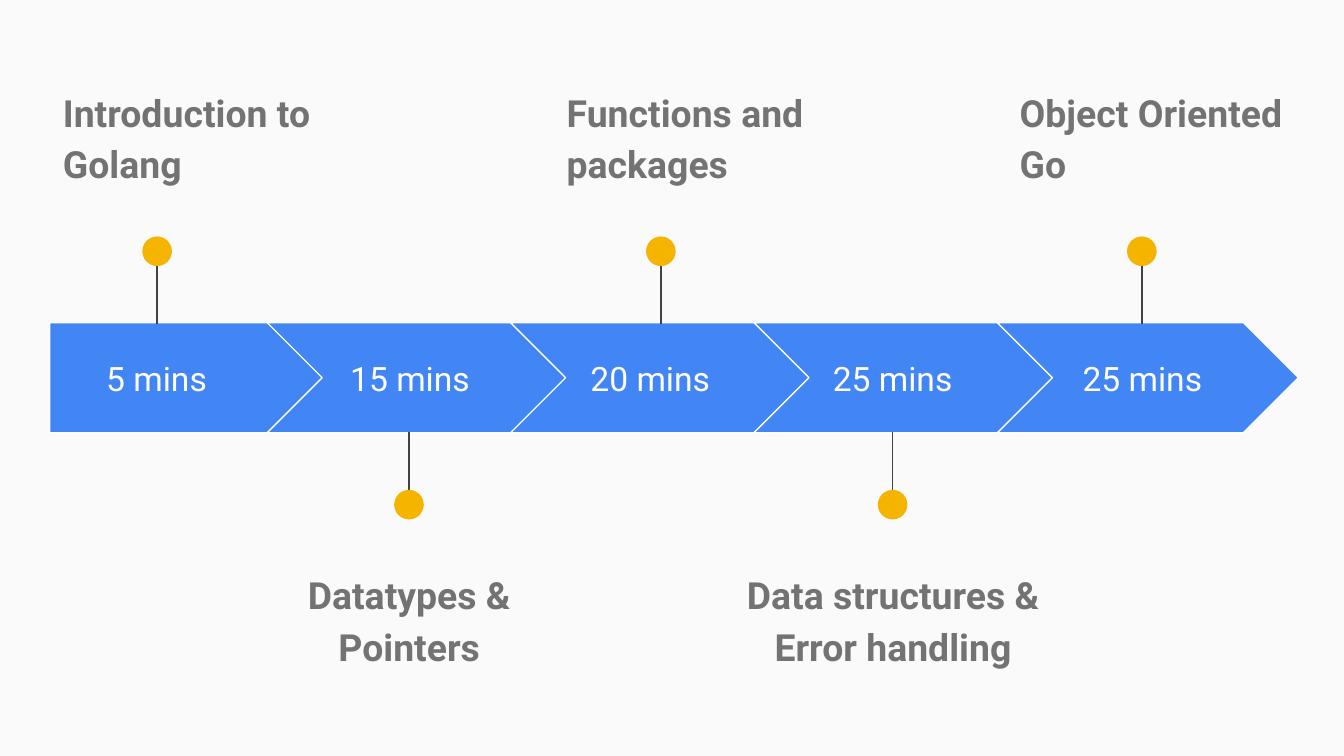
from pptx import Presentation
from pptx import util as u
from pptx.dml import color
from pptx.enum import shapes, text
from pptx.oxml import ns
from lxml import etree

FONT = "Roboto"
BACKGROUND, BLUE, YELLOW = "FAFAFA", "4285F4", "F4B400"
WHITE, GREY, DARK = "FFFFFF", "737373", "424242"

BAND_TOP, BAND_HEIGHT = 6.1, 2.08
CHEVRON_LEFT, CHEVRON_STEP, CHEVRON_WIDTH = 5.05, 4.6, 5.69
DOT_SIZE = 0.56

# Duration, its left and width; pin centre; heading, its left and width
STEPS = [
    ("5 mins", 0.94, 4.04, 2.97, "Introduction to Golang", 0.94, 5.2),
    ("15 mins", 5.92, 3.66, 7.73, "Datatypes & Pointers", 5.26, 4.95),
    ("20 mins", 10.46, 3.66, 12.49, "Functions and packages", 10.46, 6.22),
    ("25 mins", 15.04, 3.66, 16.87, "Data structures & Error handling", 13.77, 6.22),
    ("25 mins", 19.76, 3.66, 21.58, "Object Oriented Go", 19.02, 6.22),
]


def rgb(value):
    return color.RGBColor.from_string(value)


def write(shape, content, size=18, colour=WHITE, bold=False, centred=True,
          anchor=text.MSO_ANCHOR.TOP, spacing=1.0, after=0):
    frame = shape.text_frame
    frame.word_wrap = True
    frame.vertical_anchor = anchor
    frame.margin_left = frame.margin_right = u.Cm(0.25)
    frame.margin_top = frame.margin_bottom = u.Cm(0.25)
    paragraph = frame.paragraphs[0]
    paragraph.alignment = text.PP_ALIGN.CENTER if centred else text.PP_ALIGN.LEFT
    paragraph.line_spacing = spacing
    paragraph.space_after = u.Pt(after)
    run = paragraph.add_run()
    run.text = content
    run.font.name = FONT
    run.font.size = u.Pt(size)
    run.font.bold = bold
    run.font.color.rgb = rgb(colour)


class Timeline:
    def __init__(self, slide):
        self.slide = slide
        fill = slide.background.fill
        fill.solid()
        fill.fore_color.rgb = rgb(BACKGROUND)

    def shape(self, kind, left, top, width, height, fill, line=None):
        shape = self.slide.shapes.add_shape(
            kind, u.Cm(left), u.Cm(top), u.Cm(width), u.Cm(height))
        shape.shadow.inherit = False
        shape.fill.solid()
        shape.fill.fore_color.rgb = rgb(fill)
        if line:
            shape.line.color.rgb = rgb(line)
            shape.line.width = u.Pt(0.75)
        else:
            shape.line.fill.background()
        return shape

    def arrow(self, index):
        if index == 0:
            kind, left, width = shapes.MSO_SHAPE.PENTAGON, 0.94, 5.2
        else:
            kind, width = shapes.MSO_SHAPE.CHEVRON, CHEVRON_WIDTH
            left = CHEVRON_LEFT + (index - 1) * CHEVRON_STEP
        arrow = self.shape(kind, left, BAND_TOP, width, BAND_HEIGHT, BLUE, WHITE)
        arrow.adjustments[0] = 0.5

    def textbox(self, content, left, top, width, height, **style):
        box = self.slide.shapes.add_textbox(
            u.Cm(left), u.Cm(top), u.Cm(width), u.Cm(height))
        write(box, content, **style)

    def pin(self, centre, above):
        """Draw a stem from the band to a dot above or below it."""
        start, end, dot_top = (4.57, 6.12, 4.47) if above else (9.7, 8.16, 9.26)
        stem = self.slide.shapes.add_connector(
            shapes.MSO_CONNECTOR.STRAIGHT,
            u.Cm(centre), u.Cm(start), u.Cm(centre), u.Cm(end))
        stem.line.color.rgb = rgb(DARK)
        stem.line.width = u.Pt(0.75)
        etree.SubElement(stem._element.spPr, ns.qn("a:effectLst"))
        self.shape(shapes.MSO_SHAPE.OVAL, centre - DOT_SIZE / 2, dot_top,
                   DOT_SIZE, DOT_SIZE, YELLOW)

    def step(self, index, duration, duration_left, duration_width,
             centre, heading, heading_left, heading_width):
        above = index % 2 == 0
        self.arrow(index)
        self.textbox(duration, duration_left, 6.5, duration_width, 1.3,
                     anchor=text.MSO_ANCHOR.MIDDLE)
        self.pin(centre, above)
        self.textbox(heading, heading_left, 1.32 if above else 10.44,
                     heading_width, 2.51, size=20, colour=GREY, bold=True,
                     centred=not above, spacing=1.15, after=16)


def main():
    presentation = Presentation()
    presentation.slide_width = u.Cm(25.4)
    presentation.slide_height = u.Cm(14.29)
    blank_layout = presentation.slide_layouts[6]
    timeline = Timeline(presentation.slides.add_slide(blank_layout))
    for index, step in enumerate(STEPS):
        timeline.step(index, *step)
    presentation.save("out.pptx")


if __name__ == "__main__":
    main()
